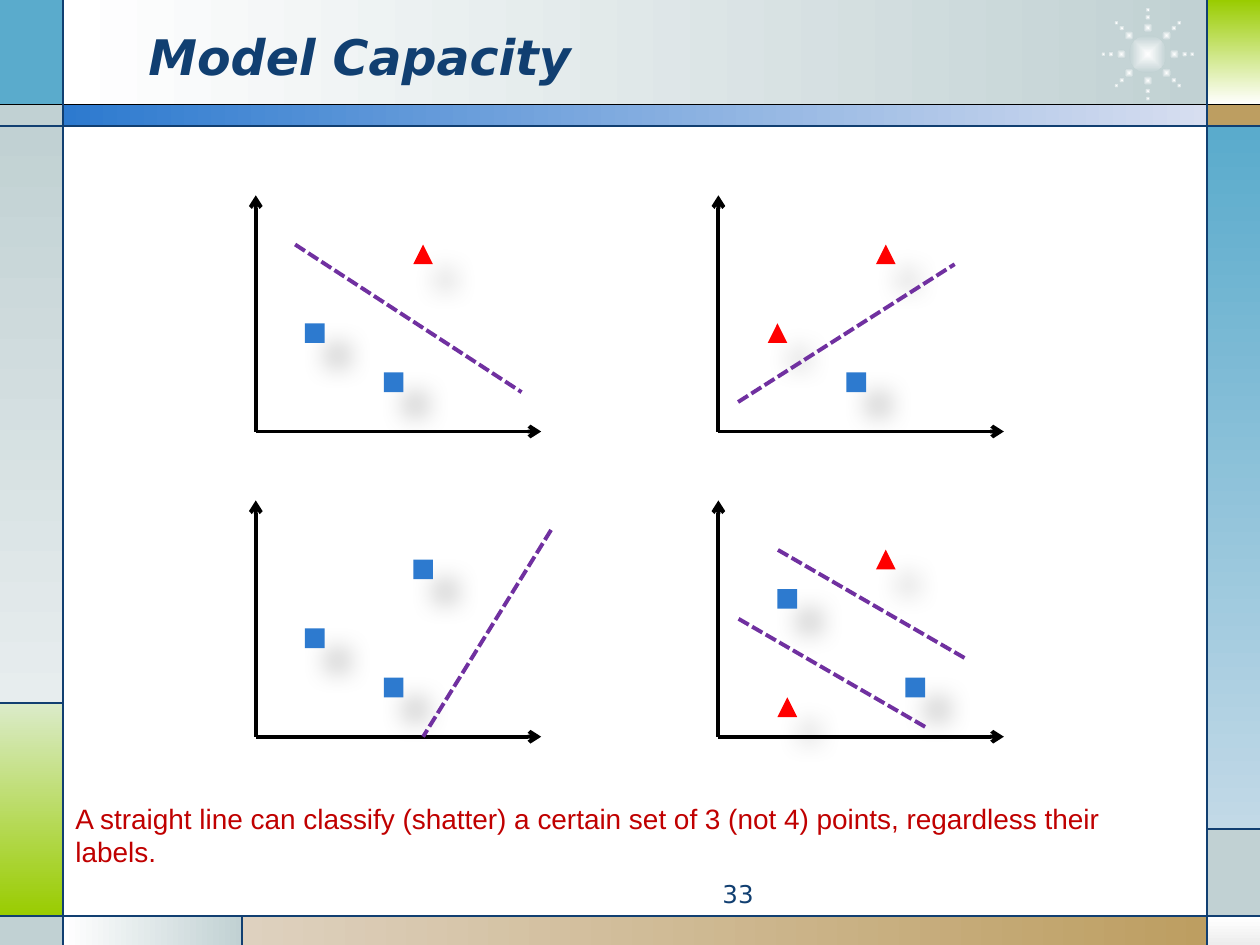
from math import cos, radians, sin

from lxml.etree import SubElement
from pptx import Presentation
from pptx.dml.color import RGBColor
from pptx.enum.dml import MSO_LINE
from pptx.enum.shapes import MSO_CONNECTOR, MSO_SHAPE
from pptx.enum.text import MSO_ANCHOR, PP_ALIGN
from pptx.oxml.ns import qn
from pptx.util import Inches, Pt

HUES = {
    "white": "FFFFFF", "mist": "C1D1D3", "haze": "E7EDEE", "smoke": "EDEDED",
    "sky": "5AABCC", "ice": "C2D9E7", "lime": "99CC00", "leaf": "DBEBC9",
    "tan": "BD9E61", "sand": "DED1BF", "blue": "2D7ACF", "pale": "D7DEF0",
    "navy": "113F71", "black": "000000", "red": "FF0000", "plum": "7030A0",
    "brick": "C00000",
}
WIDE, HIGH = 10, 7.5

# Frame grid: column and row edges in inches
COLS = [0, 0.5, 1.92, 9.58, WIDE]
ROWS = [0, 0.83, 1, 5.58, 6.58, 7.27, HIGH]

# Panels: left column, top row, right column, bottom row, hues, turn
PANELS = [
    (1, 0, 3, 1, ("white", "mist"), 0),
    (0, 0, 1, 1, ("sky",), 0),
    (0, 1, 1, 2, ("mist",), 0),
    (0, 2, 1, 3, ("mist", "haze"), 270),
    (0, 3, 1, 5, ("leaf", "lime"), 270),
    (0, 5, 1, 6, ("mist",), 0),
    (1, 5, 2, 6, ("white", "mist"), 0),
    (2, 5, 3, 6, ("sand", "tan"), 0),
    (3, 5, 4, 6, ("white", "smoke"), 270),
    (3, 4, 4, 5, ("mist",), 0),
    (3, 2, 4, 4, ("sky", "ice"), 270),
    (3, 1, 4, 2, ("tan",), 0),
    (3, 0, 4, 1, ("lime", "white"), 270),
    (1, 1, 3, 2, ("blue", "pale"), 0),
]
# Rules: from column, row to column, row, hue
RULES = [
    (0, 1, 4, 1, "black"), (0, 2, 4, 2, "navy"), (0, 5, 4, 5, "navy"),
    (1, 0, 1, 6, "navy"), (3, 0, 3, 6, "navy"), (0, 3, 1, 3, "navy"),
    (2, 5, 2, 6, "navy"), (3, 4, 4, 4, "navy"),
]

# Plot grid: a marker is one unit wide, an axis box 14.5 by 12 units
UNIT = WIDE / 64
SPAN, RISE = 14.5, 12
LEFT, TOP = 2.03, 1.55
STEP, DROP = 23.5 * UNIT, 15.5 * UNIT
# Plots: column, row, triangles, squares, dividing lines
PLOTS = [
    (0, 0, [(8, 2.5)], [(2.5, 6.5), (6.5, 9)], [(2, 2.5, 13.5, 10)]),
    (1, 0, [(8, 2.5), (2.5, 6.5)], [(6.5, 9)], [(1, 10.5, 12, 3.5)]),
    (0, 1, [], [(2.5, 6.5), (6.5, 9), (8, 3)], [(15, 1.5, 8.5, 12)]),
    (1, 1, [(8, 2.5), (3, 10)], [(3, 4.5), (9.5, 9)],
     [(12.5, 8, 3, 2.5), (10.5, 11.5, 1, 6)]),
]


def ink(name):
    return RGBColor.from_string(HUES[name])


def block(shapes, kind, box, hues, turn=0):
    """Add a borderless shape; a turn of None makes its gradient radial."""
    shape = shapes.add_shape(kind, *map(Inches, box))
    shape.shadow.inherit = False
    shape.line.fill.background()
    fill = shape.fill
    if len(hues) == 1:
        fill.solid()
        fill.fore_color.rgb = ink(hues[0])
        return shape
    fill.gradient()
    for stop, hue in zip(fill.gradient_stops, hues):
        stop.color.rgb = ink(hue)
    if turn is None:
        grad = shape.element.spPr.find(qn("a:gradFill"))
        grad.remove(grad.find(qn("a:lin")))
        core = SubElement(grad, qn("a:path"), path="shape")
        SubElement(core, qn("a:fillToRect"), l="50000", t="50000", r="50000", b="50000")
    else:
        fill.gradient_angle = turn
    return shape


def stroke(shapes, ends, hue, width, dash=None, arrow=False):
    line = shapes.add_connector(MSO_CONNECTOR.STRAIGHT, *map(Inches, ends))
    line.line.color.rgb = ink(hue)
    line.line.width = Pt(width)
    if dash:
        line.line.dash_style = dash
    props = line.element.spPr
    if arrow:
        SubElement(props.find(qn("a:ln")), qn("a:tailEnd"), type="arrow")
    SubElement(props, qn("a:effectLst"))


def shade(shape):
    """Cast a soft shadow down and to the right."""
    glow = SubElement(shape.element.spPr.find(qn("a:effectLst")), qn("a:outerShdw"),
                      blurRad=str(Pt(15)), dist=str(Pt(18)), dir="2700000",
                      algn="ctr", rotWithShape="0")
    tint = SubElement(glow, qn("a:srgbClr"), val=HUES["black"])
    SubElement(tint, qn("a:alpha"), val="30000")


def label(shapes, box, text, font, size, hue, wrap=True):
    area = shapes.add_textbox(*map(Inches, box))
    area.text_frame.word_wrap = wrap
    para = area.text_frame.paragraphs[0]
    para.text = text
    para.font.name = font
    para.font.size = Pt(size)
    para.font.color.rgb = ink(hue)
    return area.text_frame, para


def frame(shapes):
    for west, north, east, south, hues, turn in PANELS:
        x, y = COLS[west], ROWS[north]
        box = (x, y, COLS[east] - x, ROWS[south] - y)
        block(shapes, MSO_SHAPE.RECTANGLE, box, hues, turn)


def rules(shapes):
    for west, north, east, south, hue in RULES:
        stroke(shapes, (COLS[west], ROWS[north], COLS[east], ROWS[south]), hue, 0.75)


def burst(shapes, x, y, size):
    """Draw a core with eight rays of shrinking dots, centred on x, y."""
    group = shapes.add_group_shape().shapes

    def dot(mid, level, wide):
        box = (mid - wide / 2, level - wide / 2, wide, wide)
        block(group, MSO_SHAPE.OVAL, box, ("white", "mist"), None)

    dot(x, y, size * 0.4)
    for ray in range(8):
        turn = radians(45 * ray)
        for reach, wide in ((0.28, 0.1), (0.39, 0.06), (0.47, 0.05)):
            dot(x + size * reach * cos(turn), y + size * reach * sin(turn), size * wide)


def plot(shapes, x, y, reds, blues, cuts):
    group = shapes.add_group_shape().shapes
    base = y + RISE * UNIT
    for tip in ((x + SPAN * UNIT, base), (x, y)):
        stroke(group, (x, base, *tip), "black", 2.25, arrow=True)
    for kind, hue, spots in ((MSO_SHAPE.ISOSCELES_TRIANGLE, "red", reds),
                             (MSO_SHAPE.RECTANGLE, "blue", blues)):
        for col, row in spots:
            box = (x + col * UNIT, y + row * UNIT, UNIT, UNIT)
            shade(block(group, kind, box, (hue,)))
    for a, b, c, d in cuts:
        ends = (x + a * UNIT, y + b * UNIT, x + c * UNIT, y + d * UNIT)
        stroke(group, ends, "plum", 2.25, dash=MSO_LINE.SQUARE_DOT)


def words(shapes):
    body, para = label(shapes, (1.08, 0.13, 7.33, 0.62), "Model Capacity",
                       "DejaVu Sans", 28, "navy")
    body.vertical_anchor = MSO_ANCHOR.MIDDLE
    para.font.bold = para.font.italic = True
    para = label(shapes, (3.75, 6.93, 2.33, 0.27), "33", "DejaVu Sans", 14, "navy")[1]
    para.alignment = PP_ALIGN.RIGHT
    label(shapes, (0.5, 6.31, 9.02, 0.35),
          "A straight line can classify (shatter) a certain set of 3 (not 4) points, "
          "regardless their labels.", "Arial", 16, "brick", wrap=False)


def main():
    deck = Presentation()
    deck.slide_width, deck.slide_height = Inches(WIDE), Inches(HIGH)
    shapes = deck.slides.add_slide(deck.slide_layouts[6]).shapes
    frame(shapes)
    burst(shapes, 9.11, 0.43, 0.75)
    rules(shapes)
    words(shapes)
    for col, row, reds, blues, cuts in PLOTS:
        plot(shapes, LEFT + col * STEP, TOP + row * DROP, reds, blues, cuts)
    deck.save("out.pptx")


if __name__ == "__main__":
    main()
